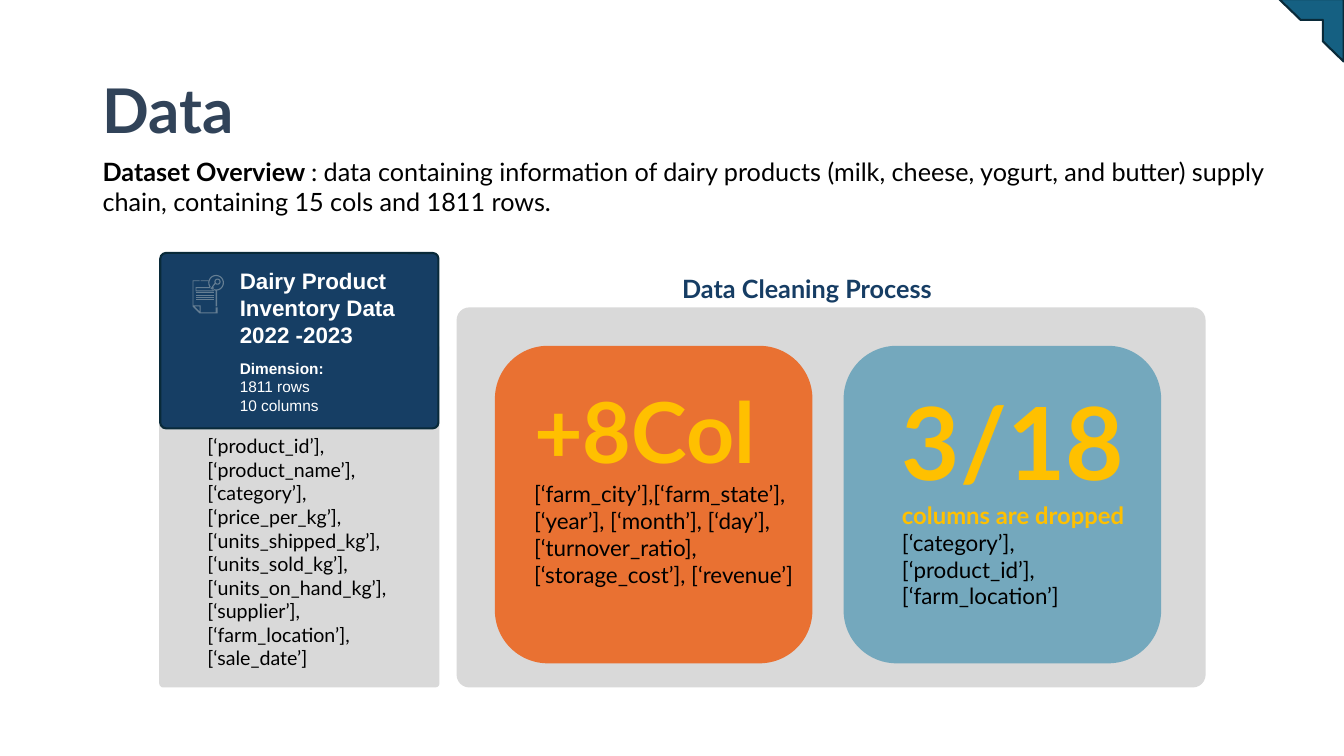
from math import cos, pi, sin

from lxml.etree import SubElement
from pptx import Presentation
from pptx.dml.color import RGBColor
from pptx.enum.shapes import MSO_SHAPE as Preset
from pptx.enum.text import MSO_ANCHOR as Anchor, MSO_AUTO_SIZE as AutoSize, PP_ALIGN as Align
from pptx.oxml.ns import qn
from pptx.util import Pt

SLATE, NAVY, GOLD, GREY = "314359", "163E64", "FFC000", "D9D9D9"
BLACK, WHITE, EDGE, ICON = "000000", "FFFFFF", "092A39", "657E93"
FINE = 100  # freeform units per point


def rgb(color):
    return RGBColor.from_string(color)


def rectangle(left, top, right, bottom):
    return [(left, top), (right, top), (right, bottom), (left, bottom)]


def circle(x, y, radius, steps=32):
    angles = [2 * pi * step / steps for step in range(steps)]
    return [(x + radius * cos(a), y + radius * sin(a)) for a in angles]


class SlideWriter:
    def __init__(self, page, font="Lato"):
        self.page = page
        self.font = font

    def fill_text(self, box, paragraphs, font=None):
        """Each paragraph is a list of (text, size, colour, bold) runs."""
        frame = box.text_frame
        for index, runs in enumerate(paragraphs):
            para = frame.add_paragraph() if index else frame.paragraphs[0]
            para.alignment = Align.LEFT
            for text, size, color, bold in runs:
                span = para.add_run()
                span.text = text
                span.font.name = font or self.font
                span.font.size = Pt(size)
                span.font.bold = bold
                span.font.color.rgb = rgb(color)
        return frame

    def title(self, text, *area):
        box = self.page.shapes.title
        box.left, box.top, box.width, box.height = map(Pt, area)
        frame = self.fill_text(box, [[(text, 44, SLATE, True)]])
        frame.auto_size = AutoSize.NONE
        frame.vertical_anchor = Anchor.MIDDLE
        frame.paragraphs[0].line_spacing = 0.9

    def text(self, area, paragraphs, wrap=True, font=None):
        box = self.page.shapes.add_textbox(*map(Pt, area))
        frame = self.fill_text(box, paragraphs, font)
        frame.word_wrap = wrap
        frame.auto_size = AutoSize.SHAPE_TO_FIT_TEXT
        return frame

    def shape(self, preset, area, fill, line=None, corner=None, opacity=None):
        shape = self.page.shapes.add_shape(preset, *map(Pt, area))
        if corner is not None:
            shape.adjustments[0] = corner
        self.paint(shape, fill, line)
        if opacity is not None:
            tint = shape.fill._xPr.find(qn("a:solidFill"))[0]
            SubElement(tint, qn("a:alpha")).set("val", str(opacity * 1000))
        return shape

    def outline(self, fill, *contours):
        """Fill closed contours; an inner contour cuts a hole."""
        builder = None
        for contour in contours:
            first, *rest = [(x * FINE, y * FINE) for x, y in contour]
            if builder is None:
                builder = self.page.shapes.build_freeform(*first, scale=Pt(1) / FINE)
            else:
                builder.move_to(*first)
            builder.add_line_segments(rest, close=True)
        self.paint(builder.convert_to_shape(), fill)

    def paint(self, shape, fill, line=None):
        shape.shadow.inherit = False
        shape.fill.solid()
        shape.fill.fore_color.rgb = rgb(fill)
        if line:
            shape.line.color.rgb = rgb(line)
            shape.line.width = Pt(1.5)
        else:
            shape.line.fill.background()


def draw_cleaning(writer):
    rounded = Preset.ROUNDED_RECTANGLE
    writer.shape(rounded, (602.6, 247, 226.8, 226.8), "0B76A0", opacity=49)
    writer.text((637.2, 267.4, 184.3, 195.6), [
        [("3/18", 72, GOLD, True)],
        [("columns are dropped", 17, GOLD, True)],
        [("[‘category’], [‘product_id’], [‘farm_location’]", 16, BLACK, False)],
    ])
    writer.shape(rounded, (353.5, 247, 226.8, 226.8), "E97132")
    writer.text((374.4, 267.4, 201.6, 199.2), [
        [("+8Col", 60, GOLD, True)],
        [("[‘farm_city’],[‘farm_state’],", 16, BLACK, False)],
        [("[‘year’], [‘month’], [‘day’], [‘turnover_ratio], "
          "[‘storage_cost’], [‘revenue’]", 16, BLACK, False)],
    ])


def draw_dataset(writer):
    rounded = Preset.ROUNDED_RECTANGLE
    writer.shape(rounded, (114.5, 246.2, 198.7, 244.1), GREY, GREY, 0.011)
    columns = ["product_id", "product_name", "category", "price_per_kg",
               "units_shipped_kg", "units_sold_kg", "units_on_hand_kg",
               "supplier", "farm_location", "sale_date"]
    entries = [f"[‘{name}’]," for name in columns]
    entries[-1] = entries[-1].rstrip(",")
    writer.text((141.1, 306.7, 148.3, 198.7),
                [[(entry, 14, BLACK, False)] for entry in entries], wrap=False)
    writer.shape(rounded, (114.5, 180.7, 198.7, 125.3), NAVY, EDGE, 0.033)
    card = writer.text((164.2, 187.2, 133.9, 113.8), [
        [("Dairy Product Inventory Data 2022 -2023", 16, WHITE, True)],
        [("Dimension:", 11, WHITE, True)],
        [("1811 rows", 11, WHITE, False)],
        [("10 columns", 11, WHITE, False)],
    ], font="Arial")
    card.paragraphs[1].space_before = Pt(8)


def draw_document_icon(writer):
    sheet = [(142.6, 200.2), (137.5, 200.2), (137.5, 218.9), (142.6, 223.9),
             (155.5, 223.9), (155.5, 219.6), (154.1, 219.6), (154.1, 223.2),
             (143.3, 223.2), (143.3, 218.2), (138.2, 218.2), (138.2, 200.9),
             (142.6, 200.9)]
    fold = [(142.6, 218.9), (142.6, 222.5), (139, 218.9)]
    writer.outline(ICON, sheet, fold)
    writer.outline(ICON, circle(154.4, 202, 5.6), circle(154.4, 202, 4.8),
                   rectangle(143.3, 200.2, 148.8, 200.9),
                   rectangle(139.7, 205.2, 152.6, 208.1),
                   rectangle(140.4, 205.9, 151.9, 207.4),
                   rectangle(154.1, 207.6, 155.2, 218.9))
    writer.outline(ICON, circle(155.4, 201.2, 2.2), circle(155.4, 201.2, 1.4),
                   [(153.3, 202.2), (153.9, 202.8), (152, 205.2), (151.4, 204.7)])
    for row in range(4):
        top = 208.8 + 1.7 * row
        writer.outline(ICON, rectangle(139.7, top, 152.6, top + 0.7))


def main():
    deck = Presentation()
    deck.slide_width, deck.slide_height = Pt(960), Pt(540)
    writer = SlideWriter(deck.slides.add_slide(deck.slide_layouts[5]))
    writer.shape(Preset.ROUNDED_RECTANGLE, (326.9, 220.3, 533.5, 270), GREY, GREY, 0.031)
    writer.title("Data", 66.2, 28.8, 828, 104.4)
    corner = writer.shape(Preset.HALF_FRAME, (914.4, -1.4, 44.6, 46.1), "156082", EDGE)
    corner.rotation = 90
    writer.text((66.2, 108, 893.8, 51.1), [[
        ("Dataset Overview ", 18, BLACK, True),
        (": data containing information of dairy products (milk, cheese, yogurt, "
         "and butter) supply chain, containing 15 cols and 1811 rows.", 18, BLACK, False),
    ]])
    draw_cleaning(writer)
    draw_dataset(writer)
    draw_document_icon(writer)
    writer.text((480.2, 191.5, 200.9, 28.8),
                [[("Data Cleaning Process", 18, "163D64", True)]], wrap=False)
    deck.save("out.pptx")


if __name__ == "__main__":
    main()
